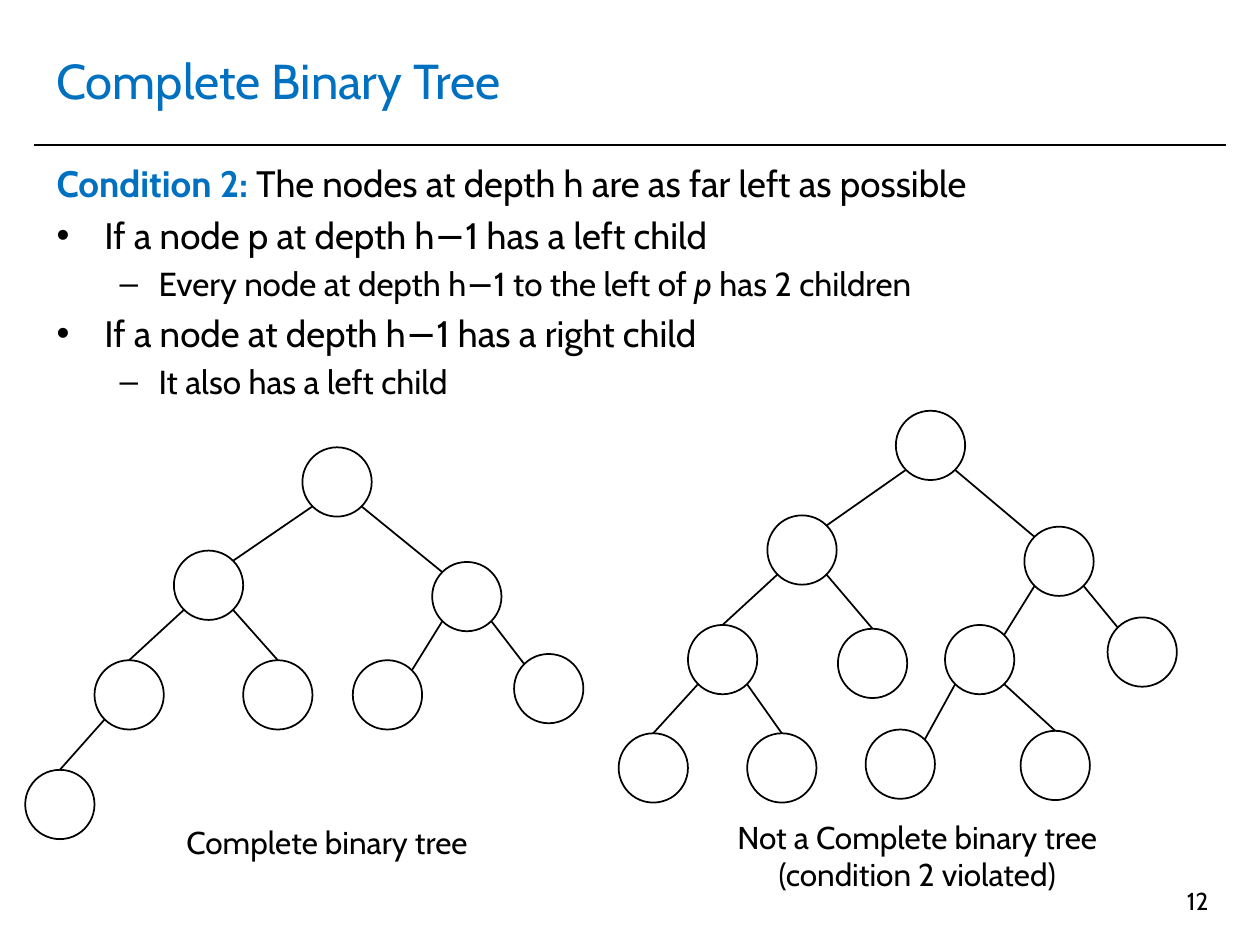
from typing import NamedTuple, Optional

import pptx
import pptx.dml.color
import pptx.enum.shapes
import pptx.enum.text
import pptx.oxml.ns
import pptx.oxml.xmlchemy
import pptx.util
from lxml import etree

BLACK = pptx.dml.color.RGBColor(0x00, 0x00, 0x00)
BLUE = pptx.dml.color.RGBColor(0x00, 0x70, 0xC0)
FONT = "Cabin"
ALIGN = pptx.enum.text.PP_ALIGN
ANCHOR = pptx.enum.text.MSO_ANCHOR

# Grid of 100 columns by 75 rows; every position below is in its cells
WIDTH, HEIGHT = pptx.util.Inches(10), pptx.util.Inches(7.5)
COLUMN, ROW = WIDTH / 100, HEIGHT / 75
DIAMETER = 5.5

# Points on a node's outline, as shares of its diameter
NEAR, FAR = 0.15, 0.85
SITES = {
    "top": (0.5, 0),
    "top left": (NEAR, NEAR),
    "top right": (FAR, NEAR),
    "bottom left": (NEAR, FAR),
    "bottom right": (FAR, FAR),
}


class Node(NamedTuple):
    column: float
    row: float
    parent: Optional[str] = None
    entry: str = "top"


class Span(NamedTuple):
    text: str
    color: pptx.dml.color.RGBColor = BLACK
    bold: bool = False
    italic: bool = False


class Line(NamedTuple):
    spans: list[Span]
    size: float
    align: ALIGN = ALIGN.LEFT
    gap: float = 0  # space before, as a share of the text size
    bullet: str = ""
    margin: float = 0  # left margin and hanging indent, in columns
    hang: float = 0


# A node's key is its route from the root: L for left child, R for right child
COMPLETE_TREE = {
    "root": Node(24, 35.5),
    "L": Node(13.8, 43.7, "root", "top right"),
    "R": Node(34.3, 44.6, "root", "top left"),
    "LL": Node(7.5, 52.4, "L"),
    "LR": Node(19.3, 52.4, "L"),
    "RL": Node(28, 52.4, "R", "top right"),
    "RR": Node(40.8, 51.9, "R", "top left"),
    "LLL": Node(2, 61.1, "LL"),
}
INCOMPLETE_TREE = {
    "root": Node(71.1, 32.6),
    "L": Node(60.9, 40.9, "root", "top right"),
    "R": Node(81.3, 41.8, "root", "top left"),
    "LL": Node(54.6, 49.6, "L"),
    "LR": Node(66.5, 49.9, "L"),
    "RL": Node(75, 49.6, "R", "top right"),
    "RR": Node(87.9, 49, "R", "top left"),
    "LLL": Node(49.1, 58.2, "LL"),
    "LLR": Node(59.3, 58.2, "LL"),
    "RLL": Node(68.7, 57.9, "RL", "top right"),
    "RLR": Node(81, 58, "RL"),
}


def across(columns: float) -> int:
    return round(columns * COLUMN)


def down(rows: float) -> int:
    return round(rows * ROW)


def add_line(page, start: tuple[float, float], end: tuple[float, float]) -> None:
    line = page.shapes.add_connector(
        pptx.enum.shapes.MSO_CONNECTOR.STRAIGHT,
        across(start[0]), down(start[1]), across(end[0]), down(end[1]),
    )
    line.line.color.rgb = BLACK
    line.line.width = pptx.util.Pt(1)
    etree.SubElement(line._element.spPr, pptx.oxml.ns.qn("a:effectLst"))


def site(node: Node, name: str) -> tuple[float, float]:
    share_x, share_y = SITES[name]
    return node.column + share_x * DIAMETER, node.row + share_y * DIAMETER


def add_tree(page, tree: dict[str, Node]) -> None:
    for route, node in tree.items():
        circle = page.shapes.add_shape(
            pptx.enum.shapes.MSO_SHAPE.OVAL,
            across(node.column), down(node.row), across(DIAMETER), down(DIAMETER),
        )
        circle.shadow.inherit = False
        circle.fill.background()
        circle.line.color.rgb = BLACK
        circle.line.width = pptx.util.Pt(1)
        if node.parent:
            leaving = "bottom left" if route.endswith("L") else "bottom right"
            add_line(page, site(tree[node.parent], leaving), site(node, node.entry))


def add_bullet(para, line: Line) -> None:
    properties = para._p.get_or_add_pPr()
    properties.set("marL", str(across(line.margin)))
    properties.set("indent", str(-across(line.hang)))
    color = etree.SubElement(properties, pptx.oxml.ns.qn("a:buClr"))
    etree.SubElement(color, pptx.oxml.ns.qn("a:srgbClr"), val=str(BLACK))
    etree.SubElement(properties, pptx.oxml.ns.qn("a:buFont"), typeface="Arial")
    etree.SubElement(properties, pptx.oxml.ns.qn("a:buChar"), char=line.bullet)


def add_text(page, left: float, top: float, width: float, height: float,
             lines: list[Line], anchor: ANCHOR = ANCHOR.TOP) -> None:
    box = page.shapes.add_textbox(across(left), down(top), across(width), down(height))
    frame = box.text_frame
    frame.word_wrap = True
    frame.vertical_anchor = anchor
    for index, line in enumerate(lines):
        para = frame.add_paragraph() if index else frame.paragraphs[0]
        para.alignment = line.align
        para.space_before = pptx.util.Pt(line.gap * line.size)
        if line.bullet:
            add_bullet(para, line)
        para.font.name = FONT
        para.font.size = pptx.util.Pt(line.size)
        for span in line.spans:
            run = para.add_run()
            run.text = span.text
            run.font.color.rgb = span.color
            if span.bold:
                run.font.bold = True
            if span.italic:
                run.font.italic = True


def point(*spans: Span) -> Line:
    return Line(list(spans), 21, gap=0.2, bullet="•", margin=3.8, hang=3.8)


def subpoint(*spans: Span) -> Line:
    return Line(list(spans), 19, gap=0.2, bullet="–", margin=8.1, hang=3.1)


def caption(text: str) -> Line:
    return Line([Span(text)], 18, ALIGN.CENTER)


def main() -> None:
    deck = pptx.Presentation()
    deck.slide_width, deck.slide_height = WIDTH, HEIGHT
    page = deck.slides.add_slide(deck.slide_layouts[6])

    # Title and rule
    add_line(page, (2.7, 11.5), (97.3, 11.5))
    add_text(page, 3.5, 2.1, 92.9, 8.5,
             [Line([Span("Complete Binary Tree", BLUE)], 28)], ANCHOR.MIDDLE)

    # Condition and its consequences
    add_text(page, 3.5, 12.3, 92.9, 55.9, [
        Line([Span("Condition 2: ", BLUE, bold=True),
              Span("The nodes at depth h are as far left as possible")], 21, gap=0.2),
        point(Span("If a node p at depth h−1 has a left child")),
        subpoint(Span("Every node at depth h−1 to the left of "),
                 Span("p", italic=True), Span(" has 2 children")),
        point(Span("If a node at depth h−1 has a right child")),
        subpoint(Span("It also has a left child")),
    ])

    # Trees with captions
    add_tree(page, COMPLETE_TREE)
    add_tree(page, INCOMPLETE_TREE)
    add_text(page, 8.7, 64.8, 34.5, 4, [caption("Complete binary tree")])
    add_text(page, 53.1, 64.4, 39.4, 7.1,
             [caption("Not a Complete binary tree"), caption("(condition 2 violated)")])

    # Page number
    add_text(page, 73.6, 69.8, 23.3, 5.2, [Line([Span("12")], 14, ALIGN.RIGHT)])

    deck.save("out.pptx")


if __name__ == "__main__":
    main()
